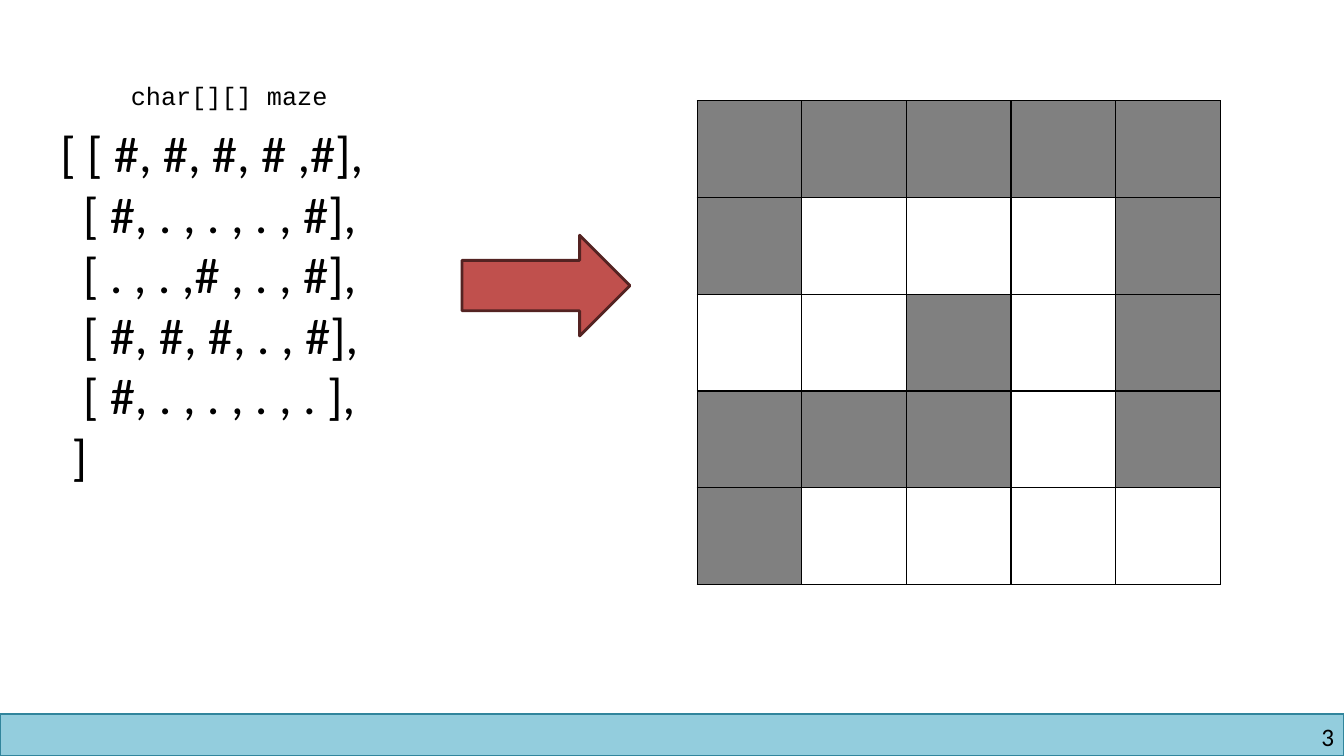
from dataclasses import dataclass

from lxml.etree import SubElement
from pptx import Presentation
from pptx.dml.color import RGBColor
from pptx.enum.shapes import MSO_SHAPE as Shape
from pptx.enum.text import PP_ALIGN as Align
from pptx.oxml.ns import qn
from pptx.util import Pt

BLACK = RGBColor(0x00, 0x00, 0x00)
WHITE = RGBColor(0xFF, 0xFF, 0xFF)
GRAY = RGBColor(0x80, 0x80, 0x80)
RED = RGBColor(0xC0, 0x50, 0x4D)
DARK_RED = RGBColor(0x54, 0x23, 0x22)
AQUA = RGBColor(0x93, 0xCD, 0xDD)
TEAL = RGBColor(0x31, 0x85, 0x9C)

WALL, PATH = "#", "."
CELL_FILL = {WALL: GRAY, PATH: WHITE}
CELL_W, CELL_H = 74.74, 69.12
SPACE = 8.14  # width of one space in 36 pt Calibri


@dataclass
class Box:
    left: float
    top: float
    width: float
    height: float

    def lengths(self) -> tuple:
        return Pt(self.left), Pt(self.top), Pt(self.width), Pt(self.height)


@dataclass
class Line:
    text: str
    indent: float = 0


@dataclass
class Label:
    box: Box
    lines: list[Line]
    font: str
    size: float
    align: Align = Align.LEFT
    inset: bool = True
    wrap: bool = False


@dataclass
class Block:
    kind: Shape
    box: Box
    fill: RGBColor
    line: RGBColor
    line_width: float


MAZE_ROWS = [
    Line("[ [ #, #, #, # ,#],"),
    Line("[ #, . , . , . , #],", 2 * SPACE),
    Line("[ . , . ,# , . , #],", 2 * SPACE),
    Line("[ #, #, #, . , #],", 2 * SPACE),
    Line("[ #, . , . , . , . ],", 2 * SPACE),
]
BLOCKS = [
    Block(Shape.RECTANGLE, Box(0, 510, 960, 30), AQUA, TEAL, 1),
    Block(Shape.RIGHT_ARROW, Box(330, 168, 120, 72), RED, DARK_RED, 2),
]
LABELS = [
    Label(Box(732, 515, 221, 21.6), [Line("3")], "Calibri", 18,
          Align.RIGHT, inset=False, wrap=True),
    Label(Box(36, 84, 257, 269), MAZE_ROWS + [Line("]", SPACE)], "Calibri", 36),
    Label(Box(86.4, 54, 155.5, 29), [Line("char[][] maze")], "Courier New", 18),
]


def add_block(slide, block: Block) -> None:
    sp = slide.shapes.add_shape(block.kind, *block.box.lengths())
    sp.shadow.inherit = False
    sp.fill.solid()
    sp.fill.fore_color.rgb = block.fill
    sp.line.color.rgb = block.line
    sp.line.width = Pt(block.line_width)


def add_label(slide, label: Label) -> None:
    tf = slide.shapes.add_textbox(*label.box.lengths()).text_frame
    tf.word_wrap = label.wrap
    if not label.inset:
        tf.margin_left = tf.margin_right = tf.margin_top = tf.margin_bottom = 0
    for i, line in enumerate(label.lines):
        p = tf.add_paragraph() if i else tf.paragraphs[0]
        p.alignment = label.align
        if line.indent:
            p._p.get_or_add_pPr().set("marL", str(Pt(line.indent)))
        r = p.add_run()
        r.text = line.text
        r.font.name = label.font
        r.font.size = Pt(label.size)
        r.font.color.rgb = BLACK


def set_borders(cell, color: RGBColor, width: float) -> None:
    tc_pr = cell._tc.get_or_add_tcPr()
    for side in ("a:lnL", "a:lnR", "a:lnT", "a:lnB"):
        ln = SubElement(tc_pr, qn(side), w=str(Pt(width)))
        fill = SubElement(ln, qn("a:solidFill"))
        SubElement(fill, qn("a:srgbClr"), val=str(color))


def add_maze(slide, left: float, top: float, rows: list[Line]) -> None:
    """Draw the maze as a table, one cell for each wall or path mark."""
    grid = [[c for c in row.text if c in CELL_FILL] for row in rows]
    box = Box(left, top, CELL_W * len(grid[0]), CELL_H * len(grid))
    table = slide.shapes.add_table(len(grid), len(grid[0]), *box.lengths()).table
    table.first_row = table.horz_banding = False
    for column in table.columns:
        column.width = Pt(CELL_W)
    for i, marks in enumerate(grid):
        table.rows[i].height = Pt(CELL_H)
        for j, mark in enumerate(marks):
            cell = table.cell(i, j)
            set_borders(cell, BLACK, 1)
            cell.fill.solid()
            cell.fill.fore_color.rgb = CELL_FILL[mark]


def main() -> None:
    prs = Presentation()
    prs.slide_width, prs.slide_height = Pt(960), Pt(540)
    slide = prs.slides.add_slide(prs.slide_layouts[6])
    for block in BLOCKS:
        add_block(slide, block)
    add_maze(slide, 498, 72, MAZE_ROWS)
    for label in LABELS:
        add_label(slide, label)
    prs.save("out.pptx")


if __name__ == "__main__":
    main()
